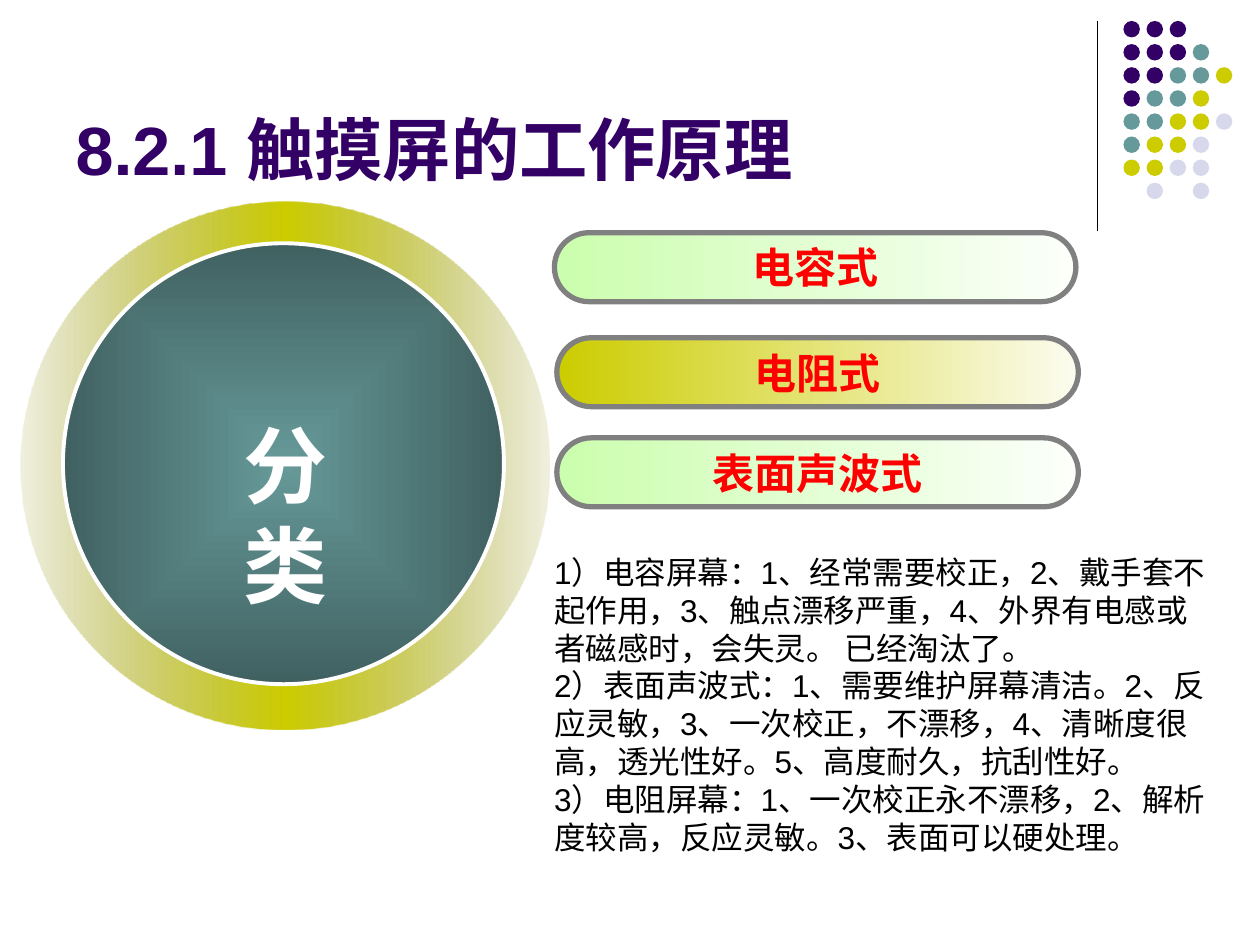
import pptx
import pptx.dml.color
import pptx.enum.dml
import pptx.enum.lang
import pptx.enum.shapes
import pptx.enum.text
import pptx.oxml
import pptx.oxml.ns
import pptx.util

Pt = pptx.util.Pt
RGB = pptx.dml.color.RGBColor.from_string
SHAPE = pptx.enum.shapes.MSO_SHAPE
ANCHOR = pptx.enum.text.MSO_ANCHOR
ALIGN = pptx.enum.text.PP_ALIGN
AUTO = pptx.enum.text.MSO_AUTO_SIZE
LANGUAGE = pptx.enum.lang.MSO_LANGUAGE_ID
qn = pptx.oxml.ns.qn
NS = 'xmlns:a="http://schemas.openxmlformats.org/drawingml/2006/main"'

COLORS = {
    "purple": "330066", "teal": "669999", "dark teal": "416161",
    "olive": "CCCC00", "dark olive": "888800", "lilac": "D8D8EC",
    "cream": "FCFCF0", "green": "CBFEAE", "pale green": "FCFFFA",
    "red": "FF0000", "gray": "808080", "white": "FFFFFF", "black": "000000",
}


def write_text(shape, text, size, color, bold=False, align=ALIGN.LEFT,
               anchor=ANCHOR.TOP, wrap=True, grow=False, shadow=False):
    frame = shape.text_frame
    frame.text = text
    frame.word_wrap = wrap
    frame.auto_size = AUTO.SHAPE_TO_FIT_TEXT if grow else AUTO.NONE
    frame.vertical_anchor = anchor
    for paragraph in frame.paragraphs:
        paragraph.alignment = align
        for run in paragraph.runs:
            run.font.size = Pt(size)
            run.font.bold = bold
            run.font.language_id = LANGUAGE.SIMPLIFIED_CHINESE
            run.font.color.rgb = RGB(COLORS[color])
            run.font.name = "Arial"
            if shadow:
                run.font.fill._xPr.find(qn("a:solidFill")).addnext(pptx.oxml.parse_xml(
                    f'<a:effectLst {NS}><a:outerShdw dist="17961" dir="2700000">'
                    '<a:srgbClr val="000000"/></a:outerShdw></a:effectLst>'))


def fill_gradient(shape, stops, from_center=False):
    """Fill with (position, color, opacity) stops, in percent."""
    stop_xml = "".join(
        f'<a:gs pos="{position * 1000}"><a:srgbClr val="{COLORS[color]}">'
        f'<a:alpha val="{opacity * 1000}"/></a:srgbClr></a:gs>'
        for position, color, opacity in stops)
    direction = '<a:lin ang="0" scaled="1"/>'
    if from_center:
        direction = ('<a:path path="rect"><a:fillToRect l="50000" t="50000" '
                     'r="50000" b="50000"/></a:path>')
    shape.fill.background()
    properties = shape._element.spPr
    properties.replace(properties.find(qn("a:noFill")), pptx.oxml.parse_xml(
        f'<a:gradFill {NS} rotWithShape="1"><a:gsLst>{stop_xml}</a:gsLst>'
        f'{direction}</a:gradFill>'))


deck = pptx.Presentation()
deck.slide_width, deck.slide_height = Pt(720), Pt(540)
slide = deck.slides.add_slide(deck.slide_layouts[5])
shapes = slide.shapes

# Corner decoration: vertical rule and dot grid
rule = shapes.add_connector(pptx.enum.shapes.MSO_CONNECTOR.STRAIGHT,
                            Pt(627), Pt(12), Pt(627), Pt(132))
rule.line.color.rgb = RGB(COLORS["black"])
rule.line.width = Pt(0.75)
rule._element.spPr.append(pptx.oxml.parse_xml(f"<a:effectLst {NS}/>"))

dot_colors = {"P": "purple", "T": "teal", "O": "olive", "L": "lilac"}
dot_rows = ["PPP", "PPPT", "PPTTO", "PTTO", "TTOOL", "TOOL", "OOLL", " L L"]
dot_group = shapes.add_group_shape()
for row, dots in enumerate(dot_rows):
    for column, key in enumerate(dots):
        if key == " ":
            continue
        dot = dot_group.shapes.add_shape(
            SHAPE.OVAL, Pt(642 + 13.2 * column), Pt(12 + 13.2 * row), Pt(9.4), Pt(9.4))
        dot.shadow.inherit = False
        dot.fill.solid()
        dot.fill.fore_color.rgb = RGB(COLORS[dot_colors[key]])
        dot.line.fill.background()

# Title
title = shapes.title
title.left, title.top, title.width, title.height = Pt(36), Pt(9.5), Pt(594), Pt(102)
write_text(title, "8.2.1 触摸屏的工作原理", size=39, color="purple", bold=True,
           anchor=ANCHOR.BOTTOM)

# Ring and disc
ring = shapes.add_shape(SHAPE.DONUT, Pt(12), Pt(115), Pt(302), Pt(302))
ring.adjustments[0] = 0.09
ring.shadow.inherit = False
ring.line.fill.background()
fill_gradient(ring, [(0, "dark olive", 12), (50, "olive", 100), (100, "dark olive", 12)])

disc = shapes.add_shape(SHAPE.OVAL, Pt(36), Pt(139), Pt(252), Pt(252))
disc.shadow.inherit = False
disc.line.color.rgb = RGB(COLORS["white"])
disc.line.width = Pt(2.25)
fill_gradient(disc, [(0, "teal", 100), (100, "dark teal", 100)], from_center=True)

# Screen types
screen_types = [
    ("电容式", 316.8, 133, "green", "pale green"),
    ("电阻式", 318.2, 193, "olive", "cream"),
    ("表面声波式", 318.2, 250.2, "green", "pale green"),
]
for name, left, top, start, end in screen_types:
    pill = shapes.add_shape(SHAPE.ROUNDED_RECTANGLE, Pt(left), Pt(top), Pt(298), Pt(39.4))
    pill.adjustments[0] = 0.5
    pill.shadow.inherit = False
    pill.line.color.rgb = RGB(COLORS["gray"])
    pill.line.width = Pt(3)
    fill_gradient(pill, [(0, start, 100), (100, end, 100)])
    write_text(pill, name, size=24, color="red", bold=True, align=ALIGN.CENTER,
               anchor=ANCHOR.MIDDLE, wrap=False)

# Disc label
category = shapes.add_textbox(Pt(108), Pt(232.5), Pt(110), Pt(65))
write_text(category, "分类", size=48, color="white", bold=True, align=ALIGN.CENTER,
           wrap=False, grow=True, shadow=True)

# Characteristics of each type
characteristics = shapes.add_textbox(Pt(309.6), Pt(312.5), Pt(386.6), Pt(201.6))
write_text(characteristics, "\n".join([
    "1）电容屏幕：1、经常需要校正，2、戴手套不起作用，3、触点漂移严重，"
    "4、外界有电感或者磁感时，会失灵。 已经淘汰了。",
    "2）表面声波式：1、需要维护屏幕清洁。2、反应灵敏，3、一次校正，不漂移，"
    "4、清晰度很高，透光性好。5、高度耐久，抗刮性好。",
    "3）电阻屏幕：1、一次校正永不漂移，2、解析度较高，反应灵敏。3、表面可以硬处理。",
]), size=18, color="black", grow=True)

deck.save("out.pptx")
